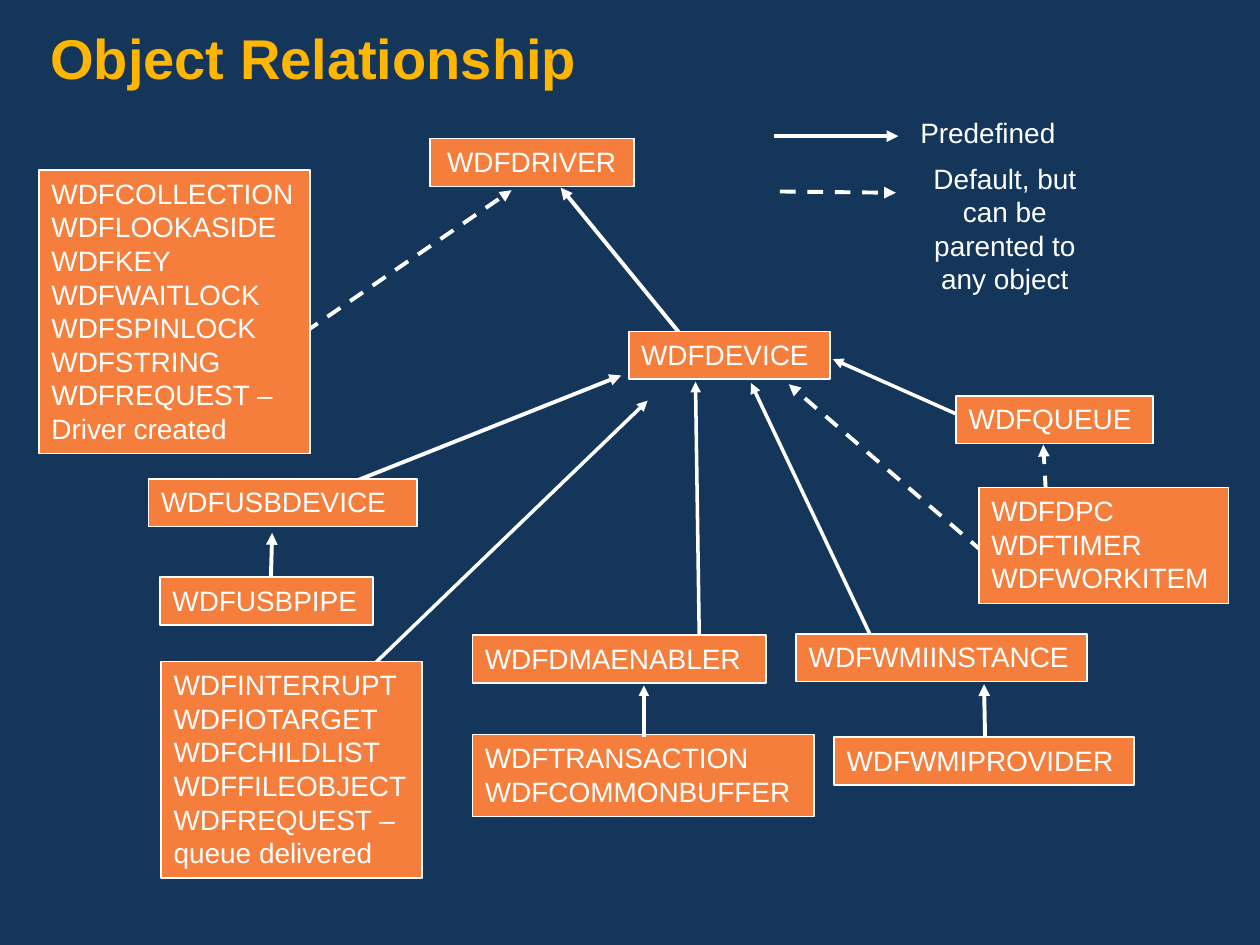
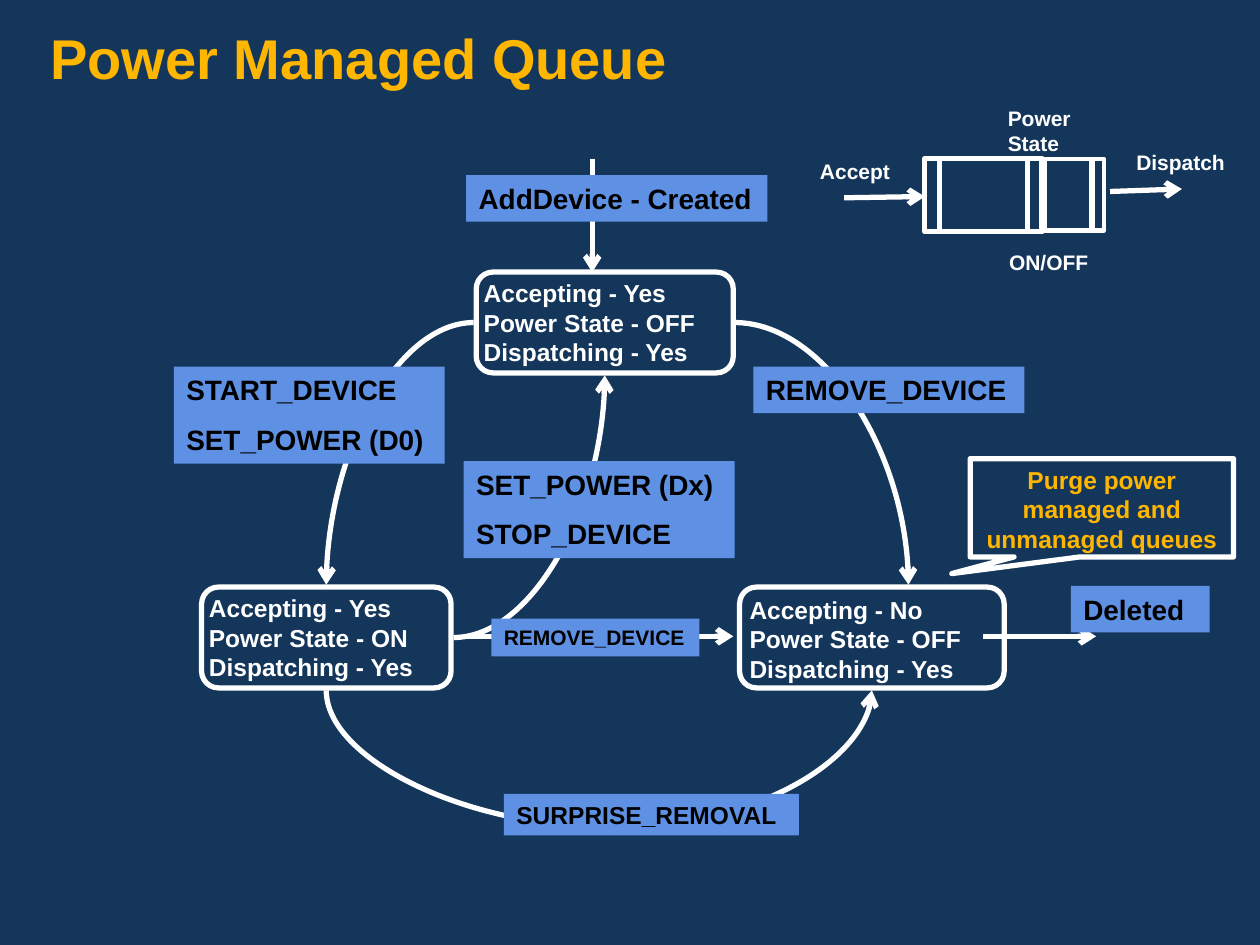
from lxml.etree import SubElement
from pptx import Presentation
from pptx.dml.color import RGBColor
from pptx.enum.dml import MSO_LINE
from pptx.enum.shapes import MSO_CONNECTOR, MSO_SHAPE
from pptx.enum.text import MSO_ANCHOR, MSO_AUTO_SIZE, PP_ALIGN
from pptx.oxml.ns import qn
from pptx.util import Inches, Pt

NAVY = RGBColor(0x15, 0x36, 0x5B)
GOLD = RGBColor(0xFF, 0xB6, 0x01)
ORANGE = RGBColor(0xF6, 0x7E, 0x3C)
BLUE = RGBColor(0x5E, 0x91, 0xE4)
WHITE = RGBColor(0xFF, 0xFF, 0xFF)
BLACK = RGBColor(0x00, 0x00, 0x00)

TITLE_ONLY = 5
CENTER = PP_ALIGN.CENTER


class DiagramDeck:
    """Holds the shared style and the current slide."""

    font_name = "Arial"
    title_frame = {
        "margin_left": Inches(0.4), "margin_right": Inches(0.4),
        "margin_top": Inches(0.25), "margin_bottom": Inches(0.05),
        "vertical_anchor": MSO_ANCHOR.TOP, "auto_size": MSO_AUTO_SIZE.NONE,
    }

    def __init__(self):
        self.deck = Presentation()
        self.deck.slide_width = Inches(10)
        self.deck.slide_height = Inches(7.5)
        fill = self.deck.slide_master.background.fill
        fill.solid()
        fill.fore_color.rgb = NAVY
        self.page = None

    def apply(self, target, values):
        for name, value in values.items():
            setattr(target, name, value)

    def add_page(self, title):
        self.page = self.deck.slides.add_slide(self.deck.slide_layouts[TITLE_ONLY])
        box = self.page.shapes.title
        self.apply(box, {"left": 0, "top": 0, "width": Inches(10), "height": Inches(0.75)})
        self.apply(box.text_frame, self.title_frame)
        self.add_lines(box.text_frame, [title], 32, GOLD, bold=True, line_spacing=0.9)

    def add_lines(self, frame, lines, size, color, bold=False, align=PP_ALIGN.LEFT,
                  gap=0, line_spacing=None):
        for index, line in enumerate(lines):
            para = frame.add_paragraph() if index else frame.paragraphs[0]
            self.apply(para, {"alignment": align, "line_spacing": line_spacing,
                              "space_before": Pt(gap if index else 0)})
            span = para.add_run()
            span.text = line
            self.apply(span.font, {"name": self.font_name, "size": Pt(size), "bold": bold})
            span.font.color.rgb = color

    def shape(self, kind, place, fill=None, line_width=None):
        box = self.page.shapes.add_shape(kind, *map(Inches, place))
        box.shadow.inherit = False
        if fill is None:
            box.fill.background()
        else:
            box.fill.solid()
            box.fill.fore_color.rgb = fill
        if line_width is None:
            box.line.fill.background()
        else:
            box.line.color.rgb = WHITE
            box.line.width = Pt(line_width)
        self.apply(box.text_frame, {"word_wrap": True, "vertical_anchor": MSO_ANCHOR.TOP})
        return box

    def object_box(self, place, *names, align=PP_ALIGN.LEFT):
        box = self.shape(MSO_SHAPE.RECTANGLE, place, ORANGE, 1)
        self.add_lines(box.text_frame, names, 16, WHITE, align=align)

    def event_label(self, place, *events, size=16):
        box = self.shape(MSO_SHAPE.RECTANGLE, place, BLUE)
        self.add_lines(box.text_frame, events, size, BLACK, bold=True, gap=9)

    def text(self, place, lines, size, wrap=True, anchor=MSO_ANCHOR.TOP, **style):
        box = self.page.shapes.add_textbox(*map(Inches, place))
        self.apply(box.text_frame, {"word_wrap": wrap, "vertical_anchor": anchor})
        self.add_lines(box.text_frame, lines, size, WHITE, **style)

    def connector(self, ends, width=3, tip="arrow", dashed=False, curved=False):
        kind = MSO_CONNECTOR.CURVE if curved else MSO_CONNECTOR.STRAIGHT
        link = self.page.shapes.add_connector(kind, *map(Inches, ends))
        link.line.color.rgb = WHITE
        link.line.width = Pt(width)
        if dashed:
            link.line.dash_style = MSO_LINE.DASH
        properties = link._element.spPr
        if curved:  # a quarter bend: leaves sideways, arrives upright
            properties.find(qn("a:prstGeom")).set("prst", "curvedConnector2")
        if tip:
            SubElement(properties.find(qn("a:ln")), qn("a:tailEnd"), type=tip)
        SubElement(properties, qn("a:effectLst"))


def build_object_relationship(diagram):
    diagram.add_page("Object Relationship")

    # Parent arrows: ends, width, dashed
    arrows = [
        ((7.69, 3.33, 6.61, 2.85), 2, False),
        ((7.82, 5.94, 7.81, 5.43), 2.25, False),
        ((2.69, 5.54, 5.14, 3.18), 2, False),
        ((8.3, 3.9, 8.28, 3.53), 2.25, True),
        ((5.48, 2.75, 4.45, 1.49), 2.25, False),
        ((5.55, 5.08, 5.52, 3.03), 2, False),
        ((6.94, 5.11, 5.96, 3.04), 2, False),
        ((7.8, 4.38, 6.26, 3.05), 2.25, True),
        ((2.49, 3.95, 4.93, 2.98), 2.25, False),
        ((2.24, 2.76, 4.06, 1.51), 2.25, True),
        ((2.15, 4.58, 2.16, 4.23), 2.25, False),
        # Legend
        ((6.14, 1.08, 7.13, 1.08), 2.25, False),
        ((6.19, 1.52, 7.11, 1.53), 2.25, True),
    ]
    for ends, width, dashed in arrows:
        diagram.connector(ends, width, "triangle", dashed)
    diagram.text((7.2, 0.87, 1.28, 0.37), ["Predefined"], 16, align=CENTER)
    diagram.text((7.3, 1.23, 1.35, 1.17),
                 ["Default, but can be parented to any object"], 16, align=CENTER)

    # Single objects: left, top, width
    row_height = 0.38
    singles = {
        "WDFDEVICE": (4.99, 2.63, 1.6),
        "WDFWMIPROVIDER": (6.62, 5.85, 2.38),
        "WDFQUEUE": (7.59, 3.14, 1.56),
        "WDFWMIINSTANCE": (6.32, 5.03, 2.31),
        "WDFDMAENABLER": (3.75, 5.04, 2.33),
        "WDFUSBDEVICE": (1.18, 3.8, 2.13),
        "WDFUSBPIPE": (1.27, 4.58, 1.69),
    }
    for name, place in singles.items():
        diagram.object_box((*place, row_height), name)
    diagram.object_box((3.41, 1.1, 1.62, row_height), "WDFDRIVER", align=CENTER)

    # Object groups
    diagram.object_box((1.28, 5.25, 2.07, 1.72), "WDFINTERRUPT", "WDFIOTARGET",
                       "WDFCHILDLIST", "WDFFILEOBJECT", "WDFREQUEST –", "queue delivered")
    diagram.object_box((3.75, 5.83, 2.71, 0.65), "WDFTRANSACTION", "WDFCOMMONBUFFER")
    diagram.object_box((0.31, 1.35, 2.15, 2.25), "WDFCOLLECTION", "WDFLOOKASIDE", "WDFKEY",
                       "WDFWAITLOCK", "WDFSPINLOCK", "WDFSTRING", "WDFREQUEST –",
                       "Driver created")
    diagram.object_box((7.77, 3.87, 1.98, 0.92), "WDFDPC", "WDFTIMER", "WDFWORKITEM")
    diagram.connector((5.11, 5.85, 5.11, 5.44), 2, "triangle")


def build_power_managed_queue(diagram):
    diagram.add_page("Power Managed Queue")

    # Queue states: outline place, text left and width, values
    state_height = 0.8
    states = [
        ((3.78, 2.16, 2.04), (3.74, 2.16, 2.19), ("Yes", "OFF", "Yes")),
        ((1.6, 4.66, 1.98), (1.56, 4.66, 2.1), ("Yes", "ON", "Yes")),
        ((5.87, 4.66, 2.1), (5.85, 4.67, 2.19), ("No", "OFF", "Yes")),
    ]
    fields = ("Accepting", "Power State", "Dispatching")
    for outline, text_place, values in states:
        diagram.shape(MSO_SHAPE.FLOWCHART_ALTERNATE_PROCESS, (*outline, state_height),
                      line_width=3)
        lines = [f"{field} - {value}" for field, value in zip(fields, values)]
        diagram.text((*text_place, state_height), lines, 14, wrap=False,
                     anchor=MSO_ANCHOR.MIDDLE, bold=True)

    # Transitions
    for ends in [(3.76, 2.56, 2.59, 4.64), (3.6, 5.06, 4.8, 2.98),
                 (5.83, 2.56, 7.21, 4.64), (4.92, 6.56, 6.92, 5.48)]:
        diagram.connector(ends, curved=True)
    diagram.connector((4.79, 6.56, 2.59, 5.48), tip=None, curved=True)
    for ends in [(4.7, 1.26, 4.7, 2.16), (7.8, 5.05, 8.7, 5.05), (3.7, 5.05, 5.82, 5.05)]:
        diagram.connector(ends)

    # Event labels
    diagram.event_label((1.38, 2.91, 2.15, 0.77), "START_DEVICE", "SET_POWER (D0)")
    diagram.event_label((3.7, 1.39, 2.39, 0.37), "AddDevice - Created")
    diagram.event_label((3.68, 3.66, 2.15, 0.77), "SET_POWER (Dx)", "STOP_DEVICE")
    diagram.event_label((5.98, 2.91, 2.15, 0.37), "REMOVE_DEVICE")
    diagram.event_label((4, 6.3, 2.34, 0.33), "SURPRISE_REMOVAL", size=14)
    diagram.event_label((8.5, 4.65, 1.1, 0.37), "Deleted")
    diagram.event_label((3.9, 4.91, 1.65, 0.3), "REMOVE_DEVICE", size=12)

    # Purge callout
    callout = diagram.shape(MSO_SHAPE.RECTANGULAR_CALLOUT, (7.7, 3.64, 2.09, 0.78),
                            line_width=3)
    callout.adjustments[0] = -0.57
    callout.adjustments[1] = 0.67
    diagram.add_lines(callout.text_frame, ["Purge power", "managed and unmanaged queues"],
                      14, GOLD, bold=True, align=CENTER)

    # Queue symbol
    diagram.connector((6.7, 1.57, 7.34, 1.56))
    diagram.connector((8.81, 1.52, 9.38, 1.5))
    diagram.shape(MSO_SHAPE.FLOWCHART_PREDEFINED_PROCESS, (7.34, 1.26, 0.93, 0.58),
                  line_width=3)
    for left, width in [(8.29, 0.38), (8.66, 0.1)]:
        diagram.shape(MSO_SHAPE.FLOWCHART_PROCESS, (left, 1.26, width, 0.57), line_width=2.5)
    captions = {
        "Accept": (6.41, 1.21, 0.76, 0.3),
        "Power State": (7.9, 0.79, 0.83, 0.5),
        "Dispatch": (8.92, 1.14, 0.96, 0.3),
        "ON/OFF": (7.91, 1.93, 0.95, 0.3),
    }
    for caption, place in captions.items():
        diagram.text(place, [caption], 12, bold=True)


def main():
    diagram = DiagramDeck()
    build_object_relationship(diagram)
    build_power_managed_queue(diagram)
    diagram.deck.save("out.pptx")


if __name__ == "__main__":
    main()
